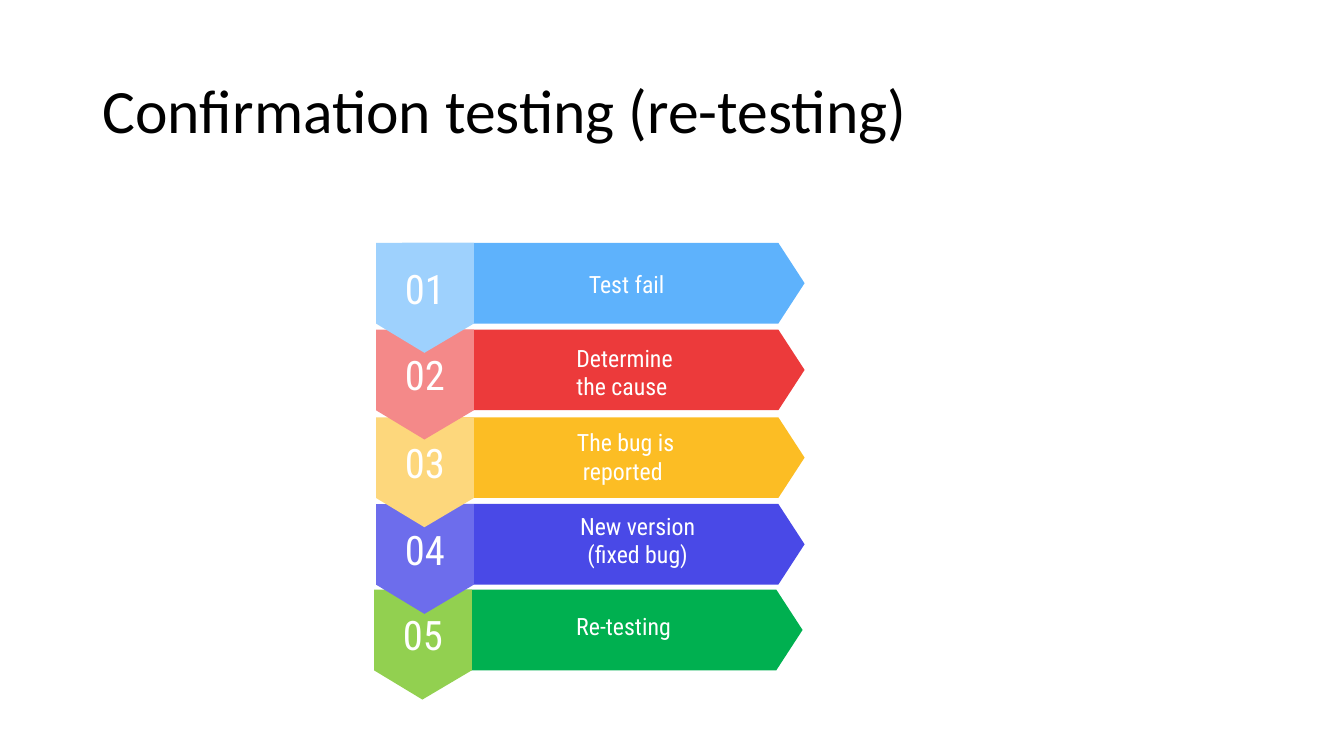
from pptx import Presentation
from pptx.dml.color import RGBColor
from pptx.enum.text import MSO_ANCHOR, PP_ALIGN
from pptx.util import Pt

PX = 9144  # EMU per px, 100 px to the inch
CENTER, LEFT = PP_ALIGN.CENTER, PP_ALIGN.LEFT
MIDDLE = MSO_ANCHOR.MIDDLE
TITLE_FONT, STEP_FONT = "Calibri", "Roboto Condensed"

COLORS = {
    "black": "000000", "white": "FFFFFF",
    "blue": "5EB2FC", "light blue": "9ED1FD",
    "red": "EC3A3B", "light red": "F48989",
    "yellow": "FCBD24", "light yellow": "FDD77C",
    "indigo": "4949E7", "light indigo": "6D6DEC",
    "green": "00B050", "light green": "92D050",
}

# Outlines relative to the top left corner of a step
BANNER = [(26, 0), (0, 40), (26, 80), (399, 80), (425, 40), (399, 0)]
TAG = [(0, 0), (0, 80), (48, 109), (97, 80), (97, 0)]

# Number, colour, left and top of the step, label, label box
STEPS = [
    ("01", "blue", 373, 241, "Test fail", (554, 267, 135, 30)),
    ("02", "red", 373, 327, "Determine the cause ", (552, 354, 135, 30)),
    ("03", "yellow", 373, 414, "The bug is reported ", (553, 438, 135, 30)),
    ("04", "indigo", 373, 500, "New version (fixed bug)", (549, 525, 167, 21)),
    ("05", "green", 371, 585, "Re-testing", (551, 606, 135, 30)),
]


def rgb(name):
    return RGBColor.from_string(COLORS[name])


def write(sp, text, *, size, font=STEP_FONT, color="white", align=CENTER,
          insets=(10, 10, 10, 10), spacing=None):
    tf = sp.text_frame
    tf.word_wrap = True
    tf.vertical_anchor = MIDDLE
    (tf.margin_left, tf.margin_top,
     tf.margin_right, tf.margin_bottom) = (v * PX for v in insets)
    p = tf.paragraphs[0]
    p.alignment = align
    if spacing:
        p.line_spacing = spacing
    r = p.add_run()
    r.text = text
    r.font.name = font
    r.font.size = Pt(size)
    r.font.color.rgb = rgb(color)


def add_label(s, box, text, **fmt):
    sp = s.shapes.add_textbox(*(v * PX for v in box))
    write(sp, text, **fmt)


def add_outline(s, points, left, top, color):
    moved = [(left + x, top + y) for x, y in points]
    builder = s.shapes.build_freeform(*moved[0], scale=PX)
    builder.add_line_segments(moved[1:], close=True)
    sp = builder.convert_to_shape()
    sp.shadow.inherit = False
    sp.fill.solid()
    sp.fill.fore_color.rgb = rgb(color)
    sp.line.fill.background()
    return sp


def add_step(s, number, color, left, top, label, label_box):
    add_outline(s, BANNER, left, top, color)
    tag = add_outline(s, TAG, left, top, "light " + color)
    write(tag, number, size=29, insets=(10, 10, 10, 30))
    add_label(s, label_box, label, size=17)


def main():
    prs = Presentation()
    prs.slide_width, prs.slide_height = 1333 * PX, 750 * PX
    s = prs.slides.add_slide(prs.slide_layouts[6])

    # Title
    add_label(s, (92, 40, 1150, 145), "Confirmation testing (re-testing)",
              size=44, font=TITLE_FONT, color="black", align=LEFT,
              insets=(10, 5, 10, 5), spacing=0.9)

    # Steps from the bottom up, so each tag overlaps the step below it
    for step in reversed(STEPS):
        add_step(s, *step)

    prs.save("out.pptx")


if __name__ == "__main__":
    main()
